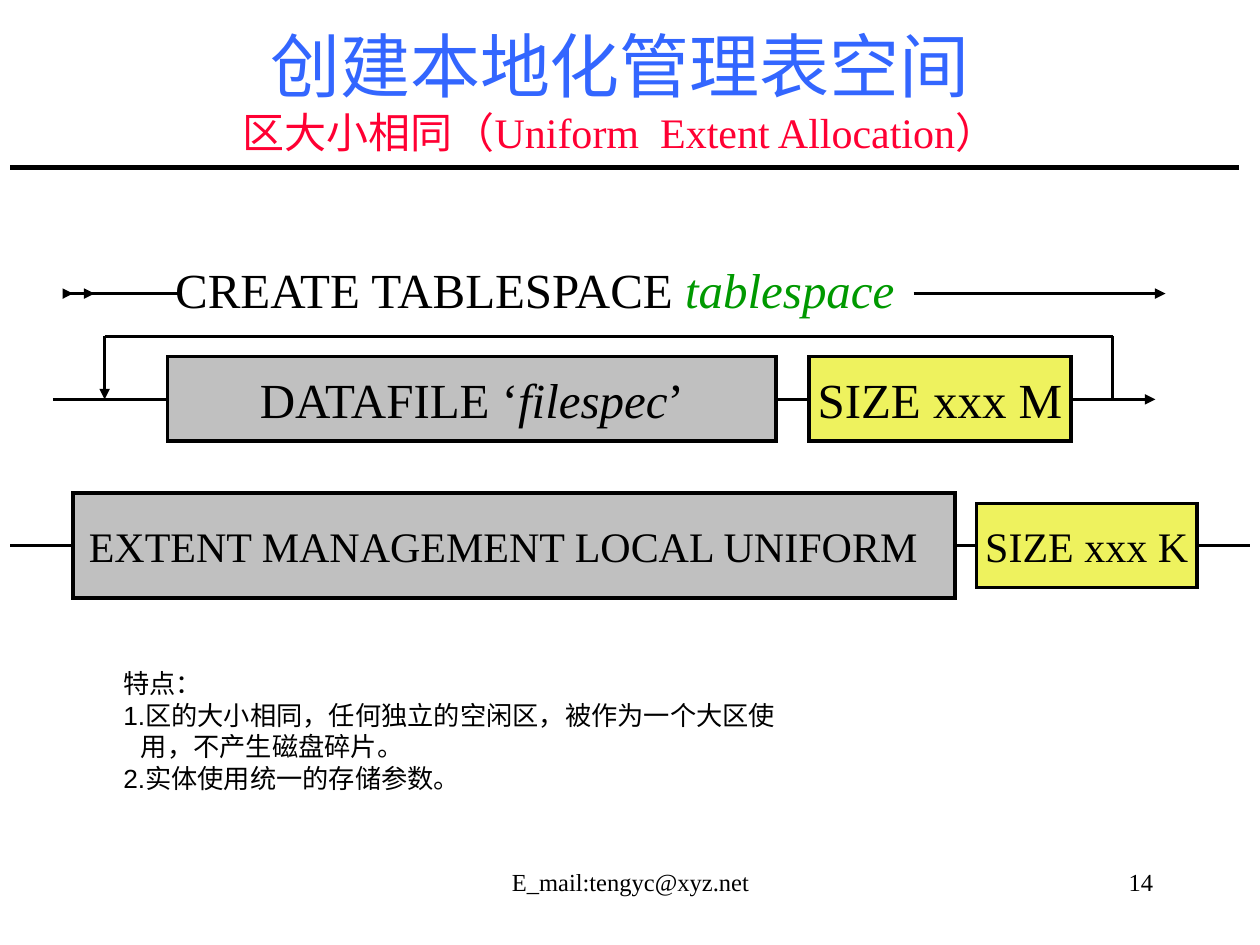
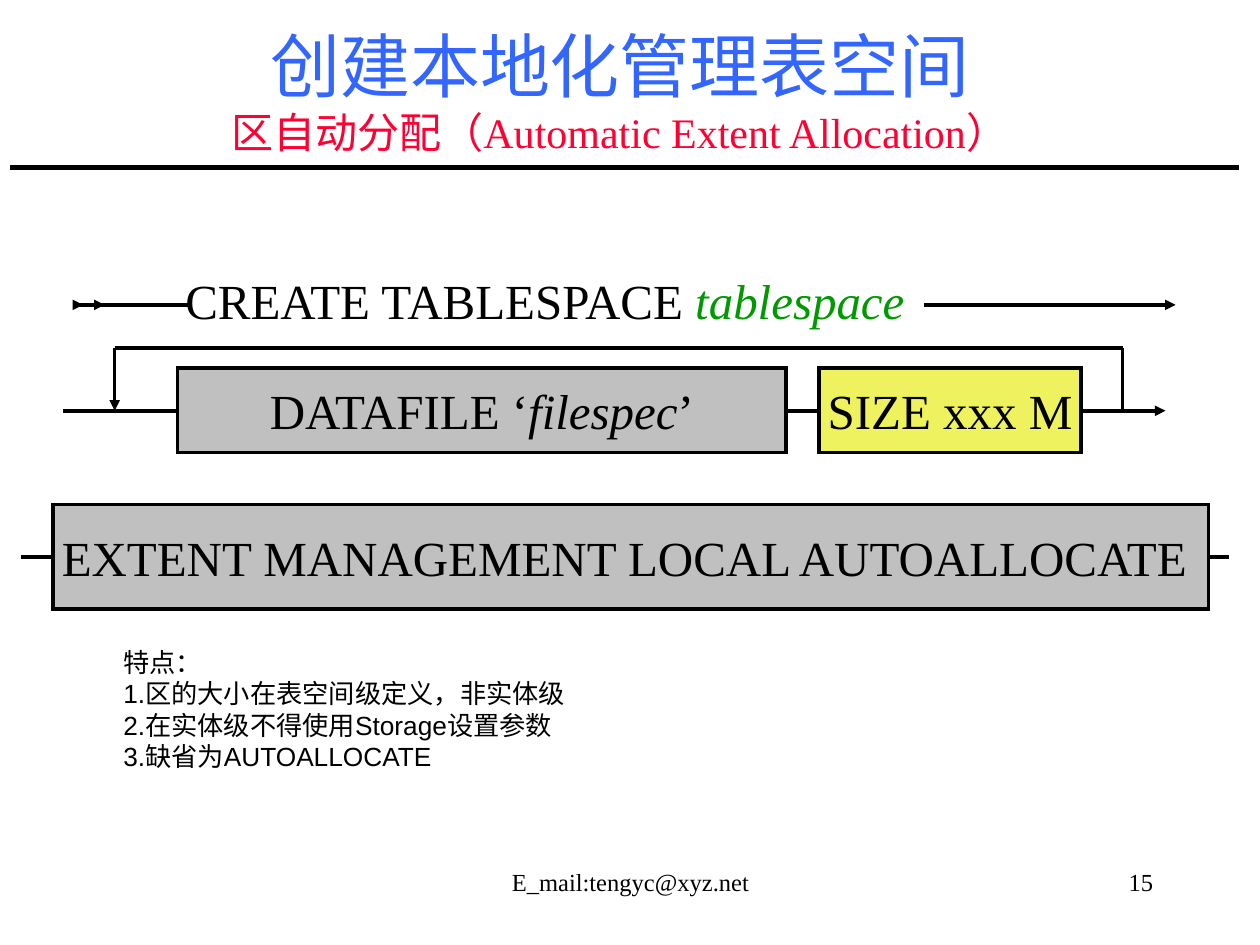
from pptx import Presentation
from pptx.dml.color import RGBColor
from pptx.enum.shapes import MSO_CONNECTOR, MSO_SHAPE
from pptx.enum.text import MSO_ANCHOR, PP_ALIGN
from pptx.oxml.ns import qn
from pptx.util import Inches, Pt
from lxml import etree

BLACK, BLUE, RED, GREEN = "000000", "3366FF", "FF0033", "009900"
GREY, YELLOW = "C0C0C0", "EEF25E"
SERIF, SANS = "Times New Roman", "Arial"
TOP, LEFT, BOTTOM, RIGHT = range(4)


def rgb(color):
    return RGBColor.from_string(color)


def write(p, runs, size, font=SERIF, align=PP_ALIGN.CENTER):
    """Fill a paragraph with (text, colour, italic) runs."""
    p.alignment = align
    for text, color, italic in runs:
        r = p.add_run()
        r.text = text
        r.font.size, r.font.name, r.font.italic = Pt(size), font, italic
        r.font.color.rgb = rgb(color)


def plain(text, color=BLACK):
    return [(text, color, False)]


def add_text(s, x, y, w, h, wrap=False, anchor=MSO_ANCHOR.MIDDLE, side_margin=0.1):
    tf = s.shapes.add_textbox(Inches(x), Inches(y), Inches(w), Inches(h)).text_frame
    tf.word_wrap = wrap
    tf.vertical_anchor = anchor
    tf.margin_left = tf.margin_right = Inches(side_margin)
    return tf


def add_line(s, x1, y1, x2, y2, width=2, arrow=False):
    line = s.shapes.add_connector(MSO_CONNECTOR.STRAIGHT, Inches(x1), Inches(y1),
                                  Inches(x2), Inches(y2))
    line.line.width = Pt(width)
    line.line.color.rgb = rgb(BLACK)
    if arrow:
        etree.SubElement(line.line._get_or_add_ln(), qn("a:tailEnd"), type="triangle")
    etree.SubElement(line._element.spPr, qn("a:effectLst"))
    return line


def add_box(s, x, y, w, h, fill, runs, size, pad_right=0.1):
    sp = s.shapes.add_shape(MSO_SHAPE.RECTANGLE, Inches(x), Inches(y), Inches(w), Inches(h))
    sp.shadow.inherit = False
    sp.fill.solid()
    sp.fill.fore_color.rgb = rgb(fill)
    sp.line.color.rgb = rgb(BLACK)
    sp.line.width = Pt(2)
    etree.SubElement(sp.line._get_or_add_ln(), qn("a:miter"), lim="800000")
    tf = sp.text_frame
    tf.word_wrap = False
    tf.vertical_anchor = MSO_ANCHOR.MIDDLE
    tf.margin_right = Inches(pad_right)
    write(tf.paragraphs[0], runs, size)
    return sp


def add_header(s, subtitle):
    tf = add_text(s, 0.92, 0.17, 8, 1.08)
    write(tf.paragraphs[0], plain("创建本地化管理表空间", BLUE), 40)
    write(tf.add_paragraph(), plain(subtitle, RED), 24)
    add_line(s, 0.08, 1.33, 9.83, 1.33, width=3)


def add_footer(s, number):
    for x, w, text, align in ((3.42, 3.17, "E_mail:tengyc@xyz.net", PP_ALIGN.CENTER),
                              (7.17, 2.08, str(number), PP_ALIGN.RIGHT)):
        tf = add_text(s, x, 6.75, w, 0.5, wrap=True)
        write(tf.paragraphs[0], plain(text), 14, align=align)


def add_create_syntax(s, x, y):
    """Railroad diagram of the statement and its repeatable data file clause."""
    tf = add_text(s, x + 0.91, y, 5.83, 0.42, side_margin=0)
    write(tf.paragraphs[0],
          plain("CREATE TABLESPACE ") + [("tablespace", GREEN, True)], 28)
    statement_y, loop_y, file_y = y + 0.25, y + 0.59, y + 1.09
    loop_left, loop_right = x + 0.41, x + 8.41
    for x1, y1, x2, y2, arrow in (
            (x + 6.83, statement_y, x + 8.83, statement_y, True),
            (x + 0.08, statement_y, x + 1, statement_y, False),
            (x + 0.08, statement_y, x + 0.16, statement_y, True),
            (x + 0.25, statement_y, x + 0.33, statement_y, True),
            (x, file_y, x + 8.75, file_y, True),
            (loop_left, loop_y, loop_right, loop_y, False),
            (loop_left, loop_y, loop_left, file_y, True),
            (loop_right, loop_y, loop_right, file_y, False)):
        add_line(s, x1, y1, x2, y2, arrow=arrow)
    datafile = plain("DATAFILE ‘") + [("filespec", BLACK, True)] + plain("’")
    add_box(s, x + 0.91, y + 0.75, 4.83, 0.67, GREY, datafile, 28)
    add_box(s, x + 6, y + 0.75, 2.08, 0.67, YELLOW, plain("SIZE xxx M"), 28)


def add_extent_clause(s, left, right, mid_y, clauses):
    """Row of boxes strung on a line that runs from left to right at mid_y."""
    previous, start = None, left
    for x, w, h, fill, text, size, pad_right in clauses:
        box = add_box(s, x, mid_y - h / 2, w, h, fill, plain(text), size, pad_right)
        line = add_line(s, start, mid_y, x, mid_y)
        if previous is not None:
            line.begin_connect(previous, RIGHT)
        line.end_connect(box, LEFT)
        previous, start = box, x + w
    add_line(s, start, mid_y, right, mid_y).begin_connect(previous, RIGHT)


def add_features(s, y, items):
    tf = add_text(s, 0.5, y, 9.25, 1.5, wrap=True, anchor=MSO_ANCHOR.TOP)
    for i, item in enumerate(["特点："] + items):
        p = tf.paragraphs[0] if i == 0 else tf.add_paragraph()
        pPr = p._p.get_or_add_pPr()
        pPr.set("marL", str(Inches(0.52)))
        pPr.set("indent", str(Inches(-0.14)))
        for j, part in enumerate(item.split("\n")):
            if j:
                p.add_line_break()
            write(p, plain(part), 15, SANS, PP_ALIGN.LEFT)


def add_slide(prs, number, subtitle, syntax_at, extent, features_y, features):
    s = prs.slides.add_slide(prs.slide_layouts[6])
    add_header(s, subtitle)
    add_create_syntax(s, *syntax_at)
    add_extent_clause(s, *extent)
    add_features(s, features_y, features)
    add_footer(s, number)


def main():
    prs = Presentation()
    prs.slide_width, prs.slide_height = Inches(10), Inches(7.5)
    add_slide(
        prs, 14, "区大小相同（Uniform  Extent Allocation）", (0.42, 2.08),
        (0.08, 9.92, 4.33, [
            (0.58, 7, 0.83, GREY, "EXTENT MANAGEMENT LOCAL UNIFORM", 24, 0.27),
            (7.75, 1.75, 0.67, YELLOW, "SIZE xxx K", 24, 0.1)]),
        5.25, ["1.区的大小相同，任何独立的空闲区，被作为一个大区使\n用，不产生磁盘碎片。",
               "2.实体使用统一的存储参数。"])
    add_slide(
        prs, 15, "区自动分配（Automatic Extent Allocation）", (0.5, 2.17),
        (0.17, 9.75, 4.42, [
            (0.42, 9.17, 0.83, GREY, "EXTENT MANAGEMENT LOCAL AUTOALLOCATE", 28, 0.2)]),
        5.08, ["1.区的大小在表空间级定义，非实体级",
               "2.在实体级不得使用Storage设置参数",
               "3.缺省为AUTOALLOCATE"])
    prs.save("out.pptx")


if __name__ == "__main__":
    main()
